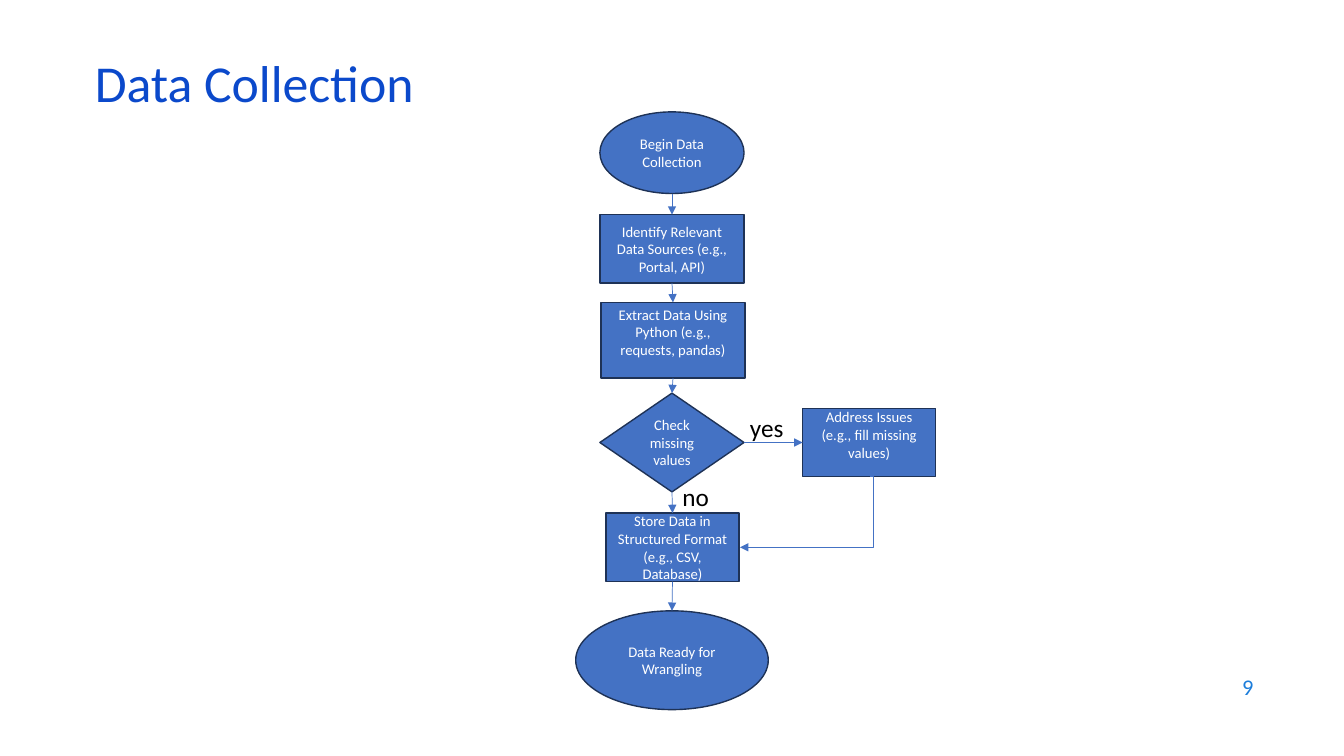
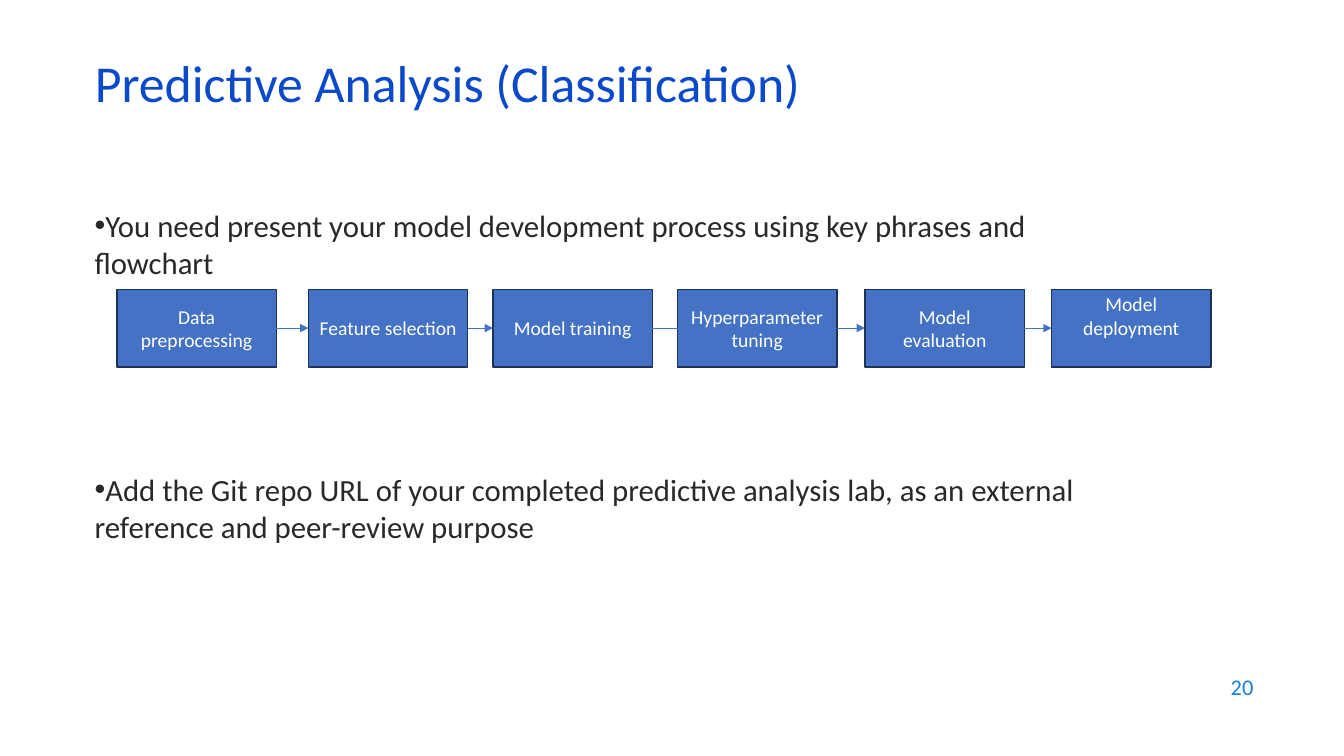
from dataclasses import dataclass
from itertools import pairwise
from typing import Optional

from lxml.etree import SubElement
from pptx import Presentation
from pptx.dml.color import RGBColor
from pptx.enum.shapes import MSO_CONNECTOR, MSO_SHAPE
from pptx.enum.text import MSO_ANCHOR, MSO_AUTO_SIZE, PP_ALIGN
from pptx.oxml.ns import qn
from pptx.shapes.autoshape import Shape
from pptx.shapes.connector import Connector
from pptx.slide import Slide
from pptx.util import Inches, Pt

TITLE_BLUE = RGBColor(0x0B, 0x49, 0xCB)
NUMBER_BLUE = RGBColor(0x1C, 0x7D, 0xDB)
STEP_BLUE = RGBColor(0x44, 0x72, 0xC4)
STEP_EDGE = RGBColor(0x1E, 0x32, 0x56)
BODY_GREY = RGBColor(0x29, 0x29, 0x29)
WHITE = RGBColor(0xFF, 0xFF, 0xFF)
BLACK = RGBColor(0x00, 0x00, 0x00)

FONT = "Calibri"
TOP, LEFT, BOTTOM, RIGHT = range(4)


@dataclass(frozen=True)
class Step:
    """A flowchart node; with top_inset its text hangs from the top edge."""
    text: str
    left: float
    top: float
    width: float
    height: float
    outline: MSO_SHAPE = MSO_SHAPE.RECTANGLE
    top_inset: Optional[float] = None


@dataclass(frozen=True)
class BranchLabel:
    text: str
    left: float
    top: float
    width: float


COLLECTION_STEPS = [
    Step("Begin Data Collection", 5.95, 1.11, 1.43, 0.81, MSO_SHAPE.OVAL),
    Step("Identify Relevant Data Sources (e.g., Portal, API)",
         5.95, 2.13, 1.43, 0.68),
    Step("Extract Data Using Python (e.g., requests, pandas)",
         5.96, 3, 1.43, 0.75, top_inset=0.03),
    Step("Check missing values", 5.95, 3.9, 1.43, 0.98, MSO_SHAPE.DIAMOND),
    Step("Store Data in Structured Format (e.g., CSV, Database)",
         6.01, 5.09, 1.32, 0.68),
    Step("Data Ready for Wrangling", 5.71, 6.06, 1.91, 0.98, MSO_SHAPE.OVAL),
]
CHECK_INDEX = 3
ADDRESS_ISSUES = Step("Address Issues (e.g., fill missing values)",
                      7.96, 4.05, 1.32, 0.68, top_inset=0)
BRANCH_LABELS = [
    BranchLabel("yes", 7.34, 4.04, 0.54),
    BranchLabel("no", 6.67, 4.73, 0.47),
]

MODEL_TOP, MODEL_WIDTH, MODEL_HEIGHT = 2.87, 1.58, 0.77
MODEL_STEPS = [
    ("Data preprocessing", 1.16),
    ("Feature selection", 3.06),
    ("Model training", 4.89),
    ("Hyperparameter tuning", 6.72),
    ("Model evaluation", 8.58),
    ("Model deployment", 10.43),
]
TUNING_INDEX = 3
TUNING_ARROW_END = 6.89

# Each point with the space before it, in points
MODEL_POINTS = [
    ("You need present your model development process using key phrases "
     "and flowchart", 0),
    ("Add the Git repo URL of your completed predictive analysis lab, as an "
     "external reference and peer-review purpose", 136),
]


def apply(target: object, values: dict) -> None:
    for attribute, value in values.items():
        setattr(target, attribute, value)


def style_font(paragraph, size: float, color: RGBColor) -> None:
    apply(paragraph.font, {"name": FONT, "size": Pt(size), "bold": False})
    paragraph.font.color.rgb = color


def add_text(slide: Slide, text: str, box: tuple, size: float,
             color: RGBColor, frame_format: dict,
             align: PP_ALIGN = PP_ALIGN.LEFT) -> None:
    frame = slide.shapes.add_textbox(*map(Inches, box)).text_frame
    apply(frame, frame_format)
    paragraph = frame.paragraphs[0]
    apply(paragraph, {"text": text, "alignment": align})
    style_font(paragraph, size, color)


def add_titled_slide(prs: Presentation, title: str, number: str) -> Slide:
    slide = prs.slides.add_slide(prs.slide_layouts[5])
    heading = slide.shapes.title
    apply(heading, {"left": Inches(0.84), "top": Inches(0.59),
                    "width": Inches(11.5), "height": Inches(0.6)})
    apply(heading.text_frame, {
        "word_wrap": True, "auto_size": MSO_AUTO_SIZE.NONE,
        "vertical_anchor": MSO_ANCHOR.MIDDLE})
    paragraph = heading.text_frame.paragraphs[0]
    apply(paragraph, {"text": title, "alignment": PP_ALIGN.LEFT,
                      "line_spacing": 0.7})
    style_font(paragraph, 37, TITLE_BLUE)
    add_text(slide, number, (9.53, 6.59, 3, 0.44), 16, NUMBER_BLUE,
             {"word_wrap": True, "vertical_anchor": MSO_ANCHOR.MIDDLE},
             PP_ALIGN.RIGHT)
    return slide


def add_step(slide: Slide, step: Step, size: float) -> Shape:
    node = slide.shapes.add_shape(
        step.outline, Inches(step.left), Inches(step.top),
        Inches(step.width), Inches(step.height))
    node.shadow.inherit = False
    node.fill.solid()
    node.fill.fore_color.rgb = STEP_BLUE
    node.line.color.rgb = STEP_EDGE
    node.line.width = Pt(1)
    hangs = step.top_inset is not None
    apply(node.text_frame, {
        "word_wrap": True,
        "vertical_anchor": MSO_ANCHOR.TOP if hangs else MSO_ANCHOR.MIDDLE,
        "margin_top": Inches(step.top_inset or 0),
        "margin_bottom": 0,
    })
    paragraph = node.text_frame.paragraphs[0]
    apply(paragraph, {"text": step.text, "alignment": PP_ALIGN.CENTER})
    style_font(paragraph, size, WHITE)
    return node


def style_arrow(arrow: Connector) -> None:
    arrow.line.color.rgb = STEP_BLUE
    arrow.line.width = Pt(0.5)
    SubElement(arrow.line._get_or_add_ln(), qn("a:tailEnd"), type="triangle")
    SubElement(arrow._element.spPr, qn("a:effectLst"))


def join(slide: Slide, source: Shape, source_side: int,
         target: Shape, target_side: int) -> Connector:
    arrow = slide.shapes.add_connector(MSO_CONNECTOR.STRAIGHT, 0, 0, 0, 0)
    arrow.begin_connect(source, source_side)
    arrow.end_connect(target, target_side)
    style_arrow(arrow)
    return arrow


def add_return_arrow(slide: Slide) -> None:
    """Lead from the issues step down and back to the storing step."""
    arrow = slide.shapes.add_connector(
        MSO_CONNECTOR.ELBOW, Inches(8.63), Inches(4.73),
        Inches(7.34), Inches(5.43))
    adjustments = arrow._element.spPr.find(".//" + qn("a:avLst"))
    SubElement(adjustments, qn("a:gd"), name="adj1", fmla="val -2500")
    style_arrow(arrow)


def build_data_collection(prs: Presentation) -> None:
    slide = add_titled_slide(prs, "Data Collection", "9")
    nodes = [add_step(slide, step, 10.5) for step in COLLECTION_STEPS]
    issues = add_step(slide, ADDRESS_ISSUES, 10.5)
    for upper, lower in pairwise(nodes):
        join(slide, upper, BOTTOM, lower, TOP)
    join(slide, nodes[CHECK_INDEX], RIGHT, issues, LEFT)
    add_return_arrow(slide)
    for label in BRANCH_LABELS:
        add_text(slide, label.text, (label.left, label.top, label.width, 0.4),
                 18, BLACK, {"word_wrap": False,
                             "auto_size": MSO_AUTO_SIZE.SHAPE_TO_FIT_TEXT})


def add_model_points(slide: Slide) -> None:
    frame = slide.shapes.add_textbox(
        Inches(0.84), Inches(2), Inches(10.66), Inches(4.76)).text_frame
    frame.word_wrap = True
    for index, (text, space_before) in enumerate(MODEL_POINTS):
        paragraph = frame.add_paragraph() if index else frame.paragraphs[0]
        apply(paragraph, {"text": text, "space_before": Pt(space_before)})
        properties = paragraph._p.get_or_add_pPr()
        properties.set("marL", "0")
        properties.set("indent", "0")
        SubElement(properties, qn("a:buFont"), typeface="Arial")
        SubElement(properties, qn("a:buChar"), char="•")
        style_font(paragraph, 22, BODY_GREY)


def build_predictive_analysis(prs: Presentation) -> None:
    slide = add_titled_slide(prs, "Predictive Analysis (Classification)", "20")
    add_model_points(slide)
    last = len(MODEL_STEPS) - 1
    nodes = [
        add_step(slide, Step(text, left, MODEL_TOP, MODEL_WIDTH, MODEL_HEIGHT,
                             top_inset=0.03 if index == last else None), 14)
        for index, (text, left) in enumerate(MODEL_STEPS)
    ]
    for index, (source, target) in enumerate(pairwise(nodes), start=1):
        if index != TUNING_INDEX:
            join(slide, source, RIGHT, target, LEFT)
            continue
        middle = source.top + source.height // 2
        arrow = slide.shapes.add_connector(
            MSO_CONNECTOR.STRAIGHT, source.left + source.width, middle,
            Inches(TUNING_ARROW_END), middle)
        arrow.begin_connect(source, RIGHT)
        style_arrow(arrow)


def main() -> None:
    prs = Presentation()
    prs.slide_width, prs.slide_height = Inches(13.33), Inches(7.5)
    build_data_collection(prs)
    build_predictive_analysis(prs)
    prs.save("out.pptx")


if __name__ == "__main__":
    main()
